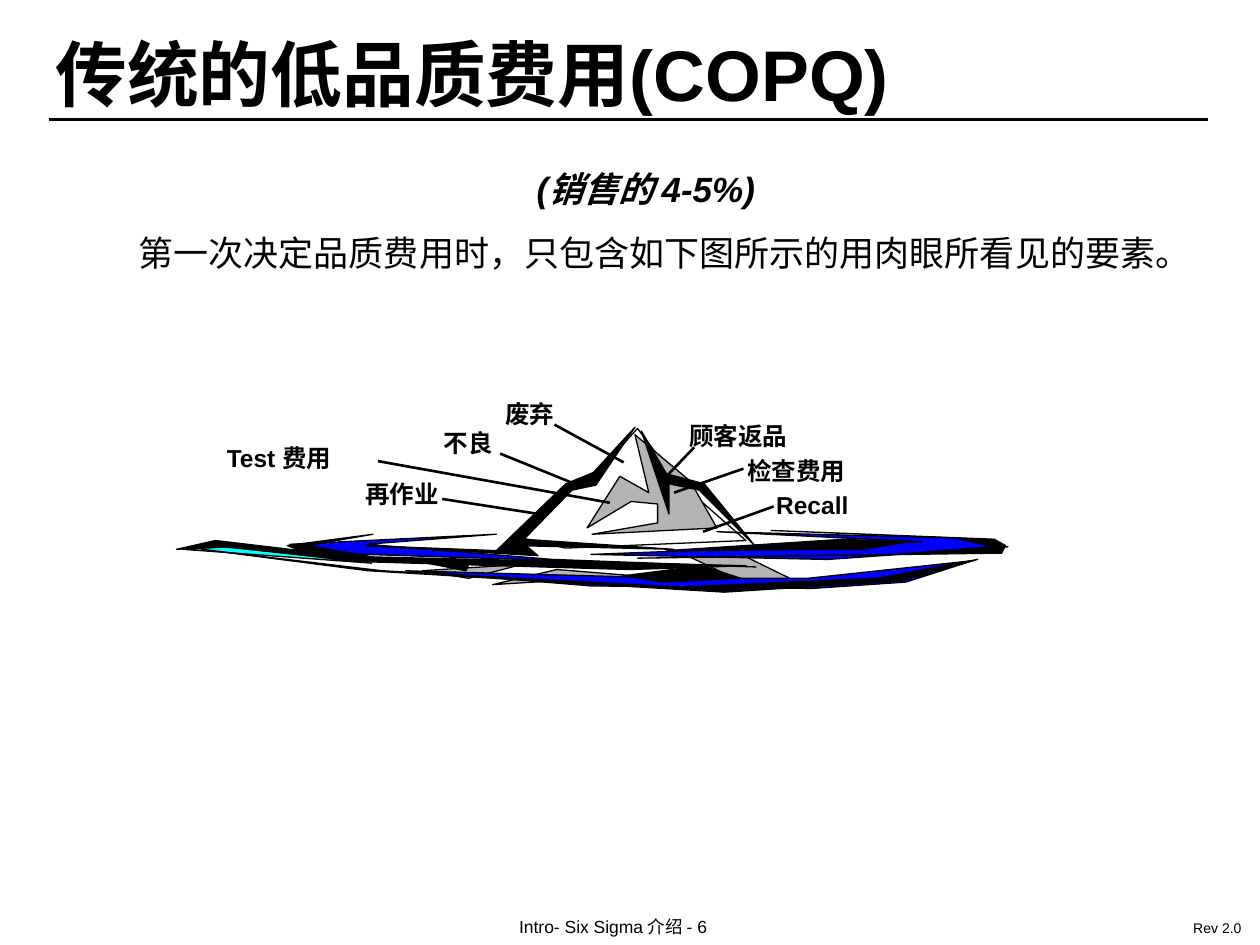
from pptx import Presentation
from pptx.dml.color import RGBColor
from pptx.enum import shapes, text
from pptx.oxml.ns import qn
from pptx.util import Inches, Pt

BLACK = RGBColor(0x00, 0x00, 0x00)
WHITE = RGBColor(0xFF, 0xFF, 0xFF)
GRAY = RGBColor(0xB4, 0xB4, 0xB4)
BLUE = RGBColor(0x00, 0x00, 0xFF)
CYAN = RGBColor(0x00, 0xFF, 0xFF)
CJK_FONT = "Noto Sans CJK KR"

# Outlines from back to front: fill and corner points in hundredths of an inch.
ICEBERG = [
    (GRAY, [(335, 453), (372, 459), (414, 448)]),
    (GRAY, [(586, 439), (635, 463), (598, 466), (541, 439)]),
    (GRAY, [(442, 452), (504, 457), (391, 464)]),
    (WHITE, [(410, 426), (454, 384), (470, 380), (506, 340), (536, 380), (592, 429),
             (449, 435)]),
    (GRAY, [(504, 345), (548, 382), (569, 419), (470, 424), (522, 415), (522, 400),
            (501, 398), (466, 419), (492, 378), (515, 391)]),
    (BLUE, [(394, 424), (291, 432), (438, 444), (600, 450), (257, 439), (230, 432)]),
    (BLUE, [(569, 422), (762, 427), (800, 434), (657, 444), (469, 440), (732, 430)]),
    (CYAN, [(295, 447), (182, 434), (145, 436)]),
    (BLUE, [(772, 445), (641, 459), (542, 459), (322, 453), (469, 465), (645, 467),
            (719, 462)]),
    (BLACK, [(504, 339), (473, 385), (454, 389), (414, 430), (427, 441), (290, 433),
             (394, 437), (449, 384), (471, 375)]),
    (BLACK, [(296, 424), (228, 433), (239, 437), (171, 429), (140, 436), (177, 434),
             (295, 446), (500, 452), (592, 449), (296, 442), (244, 433)]),
    (BLACK, [(160, 436), (303, 453), (539, 466), (697, 459), (776, 444), (716, 461),
             (575, 470), (292, 453)]),
    (BLACK, [(506, 443), (710, 440), (787, 434), (758, 427), (612, 421), (789, 428),
             (798, 433), (795, 439)]),
    (BLACK, [(529, 437), (685, 436), (721, 430), (669, 428)]),
    (BLACK, [(372, 448), (370, 453), (339, 447)]),
    (BLACK, [(495, 457), (526, 462), (588, 459), (557, 449)]),
    (BLACK, [(509, 342), (529, 376), (559, 384), (599, 433), (555, 389), (531, 384),
             (531, 408)]),
    (BLACK, [(416, 428), (535, 436), (407, 433)]),
]

# Label, its left and top, then the start and end of its pointer.
COSTS = [
    ("废弃", (4.01, 3.17), (4.4, 3.37), (4.95, 3.67)),
    ("Test 费用", (1.8, 3.52), (3, 3.66), (4.84, 3.99)),
    ("再作业", (2.9, 3.8), (3.51, 3.96), (4.28, 4.08)),
    ("顾客返品", (5.47, 3.34), (5.51, 3.55), (5.28, 3.79)),
    ("检查费用", (5.93, 3.62), (5.9, 3.72), (5.35, 3.91)),
    ("不良", (3.52, 3.4), (3.97, 3.6), (4.61, 3.86)),
    ("Recall", (6.16, 3.89), (6.14, 4.02), (5.58, 4.22)),
]


def add_text(page, wording, place, size, font="Arial", inset=(0, 0), frame_format=None, **style):
    """Add one line of text; inset is the (side, top and bottom) margin."""
    box = page.shapes.add_textbox(*map(Inches, place))
    side, end = map(Inches, inset)
    frame_values = {
        "margin_left": side, "margin_right": side,
        "margin_top": end, "margin_bottom": end,
        "word_wrap": False, "auto_size": text.MSO_AUTO_SIZE.SHAPE_TO_FIT_TEXT,
    }
    for name, value in (frame_values | (frame_format or {})).items():
        setattr(box.text_frame, name, value)
    span = box.text_frame.paragraphs[0].add_run()
    span.text = wording
    span.font.color.rgb = BLACK
    for name, value in {"name": font, "size": Pt(size), **style}.items():
        setattr(span.font, name, value)
    properties = span.font._element
    east_asian = properties.makeelement(qn("a:ea"), {"typeface": CJK_FONT})
    properties.find(qn("a:latin")).addnext(east_asian)


def add_label(page, wording, corner):
    """Add a cost label as wide as its letters: CJK ones are twice as wide."""
    width = sum(0.1 if letter.isascii() else 0.2 for letter in wording)
    add_text(page, wording, (*corner, width, 0.23), 14, bold=True)


def add_line(page, start, end):
    line = page.shapes.add_connector(
        shapes.MSO_CONNECTOR.STRAIGHT, *map(Inches, start + end))
    line.line.color.rgb = BLACK
    line.line.width = Pt(1.5)
    properties = line._element.spPr
    properties.append(properties.makeelement(qn("a:effectLst"), {}))


def add_outline(page, fill, points):
    builder = page.shapes.build_freeform(*points[0], scale=Inches(0.01))
    builder.add_line_segments(points[1:], close=True)
    outline = builder.convert_to_shape()
    outline.shadow.inherit = False
    outline.fill.solid()
    outline.fill.fore_color.rgb = fill
    outline.line.color.rgb = BLACK
    outline.line.width = Pt(0.75)


def main():
    deck = Presentation()
    deck.slide_width, deck.slide_height = Inches(10), Inches(7.5)
    page = deck.slides.add_slide(deck.slide_layouts[6])

    add_text(page, "Intro- Six Sigma 介绍 - 6", (4, 7.21, 2.36, 0.29), 10, inset=(0.12, 0.06))
    add_text(page, "Rev 2.0", (9.35, 7.24, 0.63, 0.25), 8, inset=(0.12, 0.06))
    add_line(page, (0.39, 0.95), (9.59, 0.95))
    title_format = {
        "word_wrap": True,
        "auto_size": text.MSO_AUTO_SIZE.NONE,
        "vertical_anchor": text.MSO_ANCHOR.MIDDLE,
    }
    add_text(page, "传统的低品质费用(COPQ)", (0.33, 0.36, 9.21, 0.43), 41,
             inset=(0.11, 0.06), frame_format=title_format, bold=True)
    add_text(page, "(销售的 4-5%)", (4.26, 1.33, 1.88, 0.33), 20, bold=True, italic=True)
    add_text(page, "第一次决定品质费用时，只包含如下图所示的用肉眼所看见的要素。",
             (1.1, 1.84, 8.35, 0.67), 20, font=CJK_FONT)

    for fill, points in ICEBERG:
        add_outline(page, fill, points)
    for label, corner, start, end in COSTS:
        add_label(page, label, corner)
        add_line(page, start, end)

    deck.save("out.pptx")


if __name__ == "__main__":
    main()
